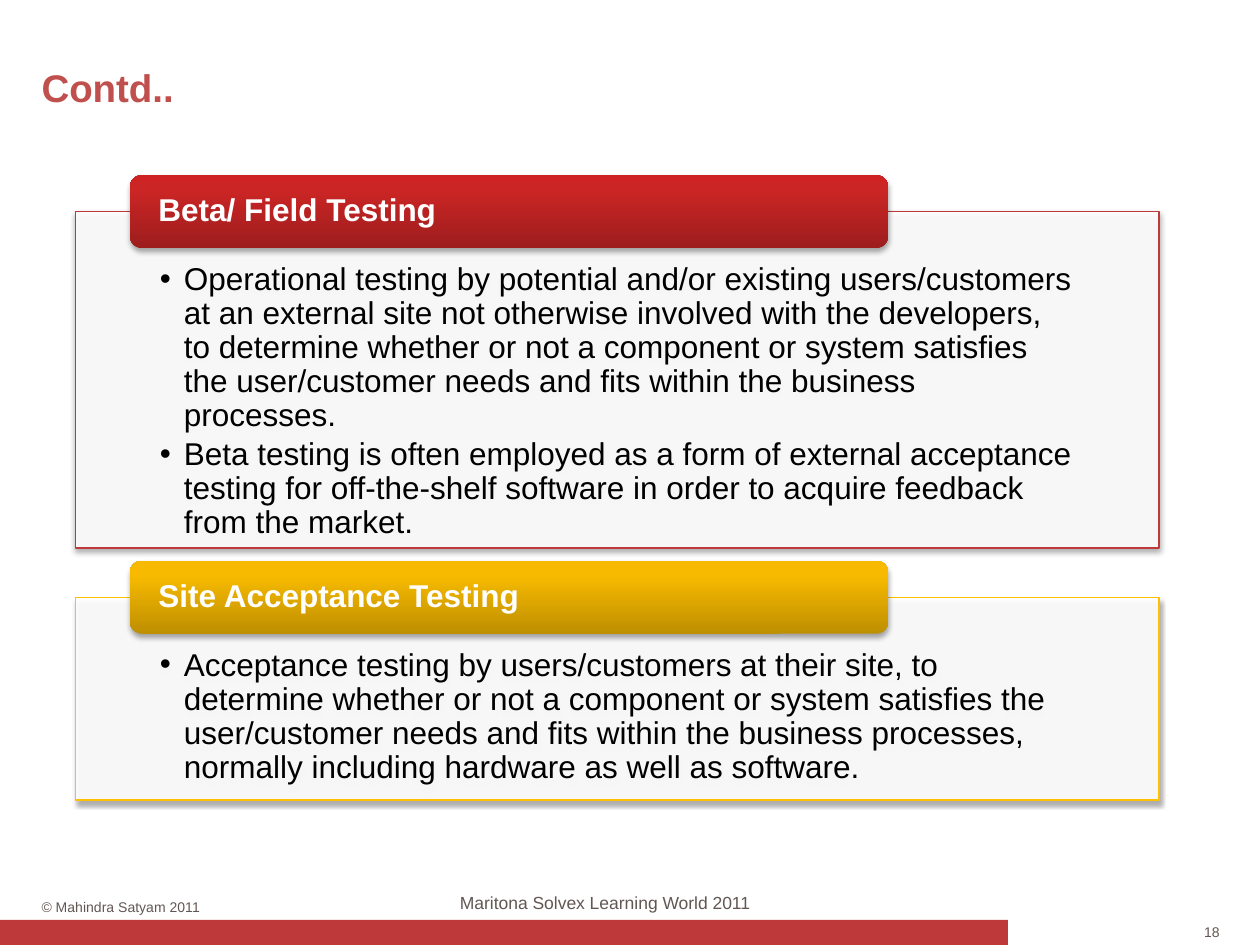
from dataclasses import dataclass

from lxml import etree
from pptx import Presentation
from pptx.dml.color import RGBColor
from pptx.enum.shapes import MSO_SHAPE
from pptx.enum.text import MSO_ANCHOR, PP_ALIGN
from pptx.oxml.ns import qn
from pptx.util import Inches, Pt

RECTANGLE, ROUNDED = MSO_SHAPE.RECTANGLE, MSO_SHAPE.ROUNDED_RECTANGLE
LEFT, CENTER, RIGHT = PP_ALIGN.LEFT, PP_ALIGN.CENTER, PP_ALIGN.RIGHT
TOP, MIDDLE = MSO_ANCHOR.TOP, MSO_ANCHOR.MIDDLE


@dataclass(frozen=True)
class Theme:
    font: str = "Arial"
    title: str = "C0504D"
    red: str = "BE3A3A"
    gold: str = "FFC000"
    white: str = "FFFFFF"
    black: str = "000000"
    muted: str = "625753"
    red_gradient: tuple = ((0, "9D1D1D"), (80, "CB2525"), (100, "CF2222"))
    gold_gradient: tuple = ((0, "BE8F00"), (80, "F7BA00"), (100, "F8BB00"))
    title_size: int = 22
    body_size: int = 18
    footer_size: int = 10
    small_size: int = 8


THEME = Theme()
PANEL_LEFT, PANEL_WIDTH = 0.6, 8.6
TAB_LEFT, TAB_WIDTH, TAB_HEIGHT = 1.03, 6.02, 0.58
SECTIONS = (
    ("Beta/ Field Testing", 1.68, 2.67, THEME.red, THEME.red_gradient, (
        "Operational testing by potential and/or existing users/customers at an "
        "external site not otherwise involved with the developers, to determine "
        "whether or not a component or system satisfies the user/customer needs "
        "and fits within the business processes.",
        "Beta testing is often employed as a form of external acceptance testing "
        "for off-the-shelf software in order to acquire feedback from the market.",
    )),
    ("Site Acceptance Testing", 4.74, 1.61, THEME.gold, THEME.gold_gradient, (
        "Acceptance testing by users/customers at their site, to determine whether "
        "or not a component or system satisfies the user/customer needs and fits "
        "within the business processes, normally including hardware as well as "
        "software.",
    )),
)


def add_child(parent, tag, **attributes):
    return etree.SubElement(parent, qn(tag), attributes)


def add_bullet(para, indent):
    properties = para._p.get_or_add_pPr()
    properties.set("marL", str(Inches(indent)))
    properties.set("indent", str(-Inches(indent)))
    add_child(properties, "a:buFont", typeface=THEME.font)
    add_child(properties, "a:buChar", char="•")


def write_text(shape, *texts, size, color, bold=False, align=LEFT, anchor=TOP,
               insets=(0, 0, 0, 0), wrap=True, line_spacing=None, gap=0, indent=0):
    """Fill a shape with paragraphs; a non-zero indent makes them bullets."""
    frame = shape.text_frame
    frame.word_wrap = wrap
    frame.vertical_anchor = anchor
    (frame.margin_left, frame.margin_top,
     frame.margin_right, frame.margin_bottom) = map(Inches, insets)
    for index, text in enumerate(texts):
        para = frame.add_paragraph() if index else frame.paragraphs[0]
        if indent:
            add_bullet(para, indent)
        para.alignment = align
        para.line_spacing = line_spacing
        para.space_before = Pt(0)
        para.space_after = Pt(gap)
        span = para.add_run()
        span.text = text
        span.font.name = THEME.font
        span.font.size = Pt(size)
        span.font.bold = bold
        span.font.color.rgb = RGBColor.from_string(color)


def add_label(page, text, area, **text_format):
    box = page.shapes.add_textbox(*map(Inches, area))
    write_text(box, text, color=THEME.muted, **text_format)


def add_block(page, kind, area, fill, line=None):
    block = page.shapes.add_shape(kind, *map(Inches, area))
    block.shadow.inherit = False
    block.fill.solid()
    block.fill.fore_color.rgb = RGBColor.from_string(fill)
    if line:
        block.line.color.rgb = RGBColor.from_string(line)
        block.line.width = Pt(0.75)
    else:
        block.line.fill.background()
    return block


def set_alpha(shape, percent):
    color = shape._element.spPr.find(qn("a:solidFill"))[0]
    add_child(color, "a:alpha", val=str(percent * 1000))


def set_gradient(shape, stops):
    shape.fill.gradient()
    shape.fill.gradient_angle = 90
    stop_list = shape._element.spPr.find(qn("a:gradFill")).find(qn("a:gsLst"))
    stop_list.clear()
    for position, color in stops:
        stop = add_child(stop_list, "a:gs", pos=str(position * 1000))
        add_child(stop, "a:srgbClr", val=color)


def add_shadow(shape):
    effects = shape._element.spPr.find(qn("a:effectLst"))
    shadow = add_child(effects, "a:outerShdw", blurRad=str(Pt(3.1)),
                       dist=str(Pt(1.8)), dir="5400000", rotWithShape="0")
    color = add_child(shadow, "a:srgbClr", val=THEME.black)
    add_child(color, "a:alpha", val="35000")


def add_section(page, heading, top, height, accent, gradient, points):
    """Draw a bordered panel with its heading tab across the top edge."""
    panel = add_block(page, RECTANGLE, (PANEL_LEFT, top, PANEL_WIDTH, height),
                      THEME.white, accent)
    set_alpha(panel, 90)
    add_shadow(panel)
    write_text(panel, *points, size=THEME.body_size, color=THEME.black,
               insets=(0.67, 0.41, 0.67, 0.14), line_spacing=0.9, gap=2.7,
               indent=0.19)

    tab_top = top - TAB_HEIGHT / 2
    tab = add_block(page, ROUNDED, (TAB_LEFT, tab_top, TAB_WIDTH, TAB_HEIGHT), accent)
    set_gradient(tab, gradient)
    add_shadow(tab)
    write_text(tab, heading, size=THEME.body_size, color=THEME.white, bold=True,
               anchor=MIDDLE, insets=(0.2, 0, 0.2, 0), line_spacing=0.9)


def add_title(page, text):
    title = page.shapes.title
    title.left, title.top, title.width, title.height = map(
        Inches, (0.33, 0.51, 9.34, 0.37))
    write_text(title, text, size=THEME.title_size, color=THEME.title, bold=True)


def add_footer(page):
    add_block(page, RECTANGLE, (0, 7.3, 8, 0.2), THEME.red)
    add_label(page, "18", (9.54, 7.33, 0.14, 0.13), size=THEME.small_size,
              align=RIGHT, anchor=MIDDLE, wrap=False)
    add_label(page, "© Mahindra Satyam 2011", (0.33, 7.13, 1.54, 0.13),
              size=THEME.small_size)
    add_label(page, "Maritona Solvex Learning World 2011", (2.64, 7.08, 4.32, 0.17),
              size=THEME.footer_size, align=CENTER)


def main():
    deck = Presentation()
    deck.slide_width, deck.slide_height = Inches(10), Inches(7.5)
    page = deck.slides.add_slide(deck.slide_layouts.get_by_name("Title Only"))
    add_footer(page)
    add_title(page, "Contd..")
    for section in SECTIONS:
        add_section(page, *section)
    deck.save("out.pptx")


if __name__ == "__main__":
    main()
